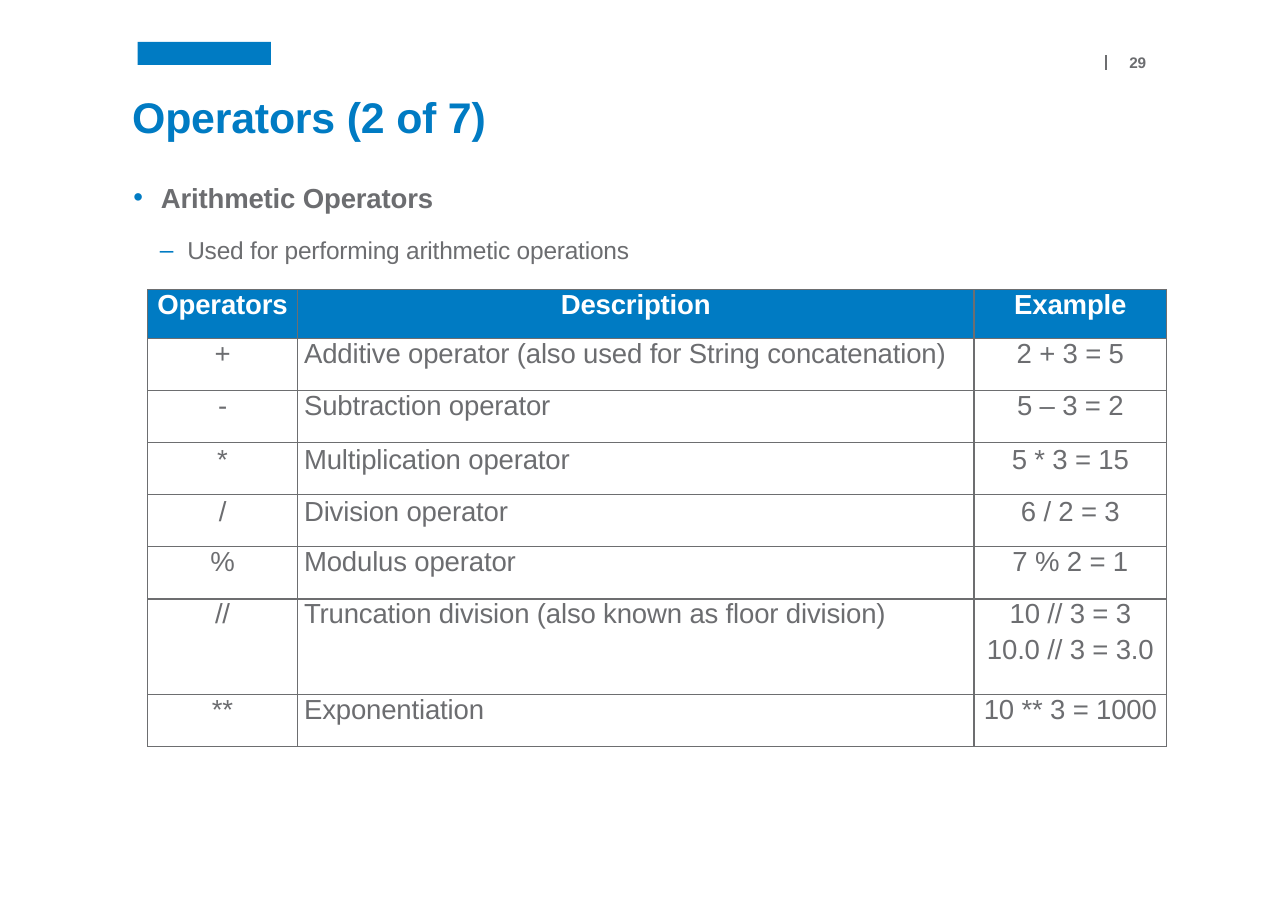
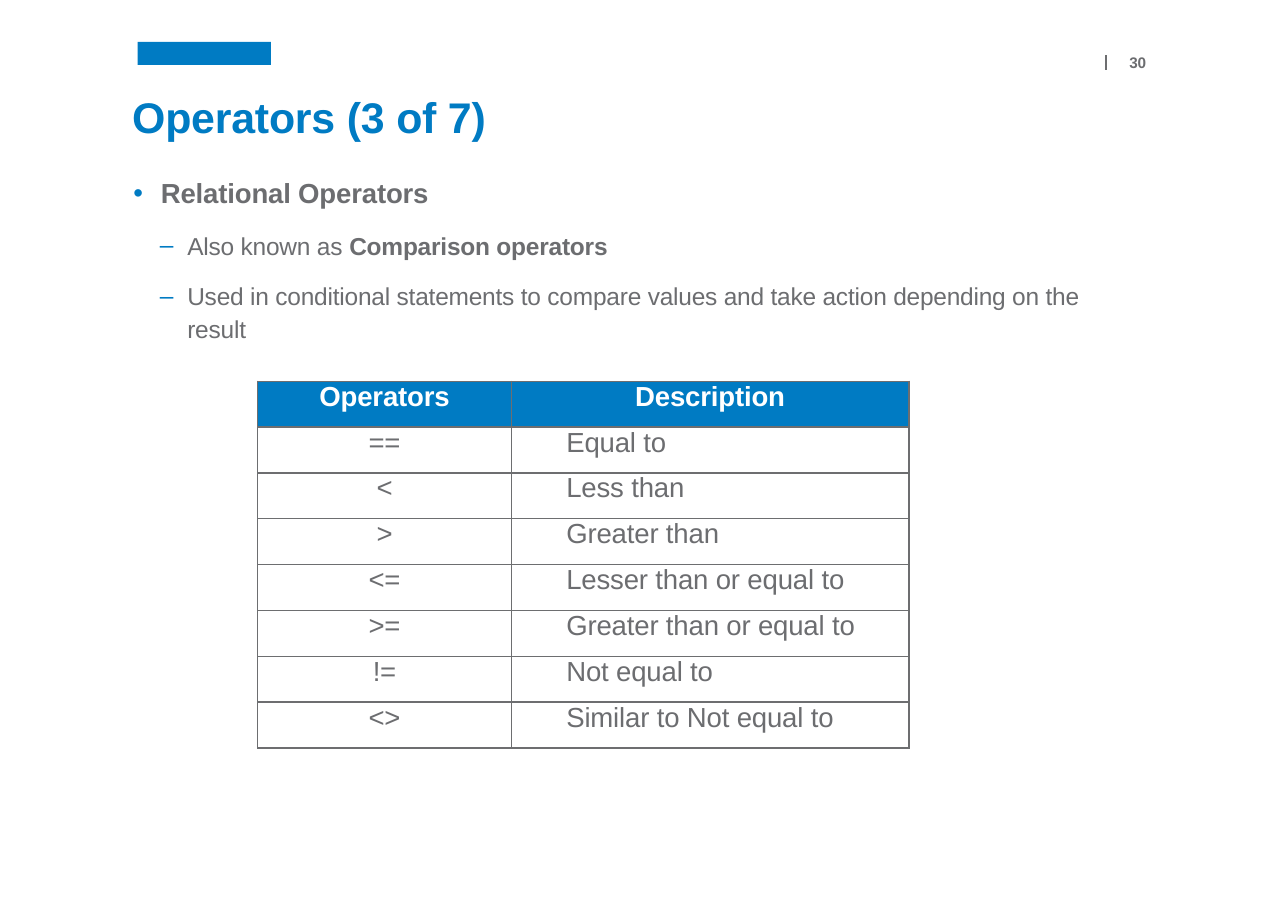
from dataclasses import dataclass

from lxml import etree
from pptx import Presentation
from pptx import util as u
from pptx.dml.color import RGBColor
from pptx.enum import shapes, text
from pptx.oxml import ns


@dataclass(frozen=True)
class Theme:
    accent: str = "007BC3"
    ink: str = "6C6D70"
    rule: str = "6D6E70"
    white: str = "FFFFFF"
    font: str = "Arial"
    title: float = 28
    heading: float = 18
    detail: float = 16
    cell: float = 18
    number: float = 10
    tracking: str = "-10"
    rule_width: float = 0.96
    border_width: float = 1


def add_child(parent, tag, **attributes):
    return etree.SubElement(parent, ns.qn(tag), attributes)


class Deck:
    def __init__(self, theme):
        self.theme = theme
        self.deck = Presentation()
        self.deck.slide_width = u.Inches(11.69)
        self.deck.slide_height = u.Inches(8.26)
        self.page = None

    def new_page(self, title, number):
        theme = self.theme
        self.page = self.deck.slides.add_slide(self.deck.slide_layouts[6])
        self.band(1.25, 0.38, 1.21, 0.21)
        self.divider(10.04, 0.5, 0.14)
        self.label(title, 1.2, 0.82, 9.46, 0.48, theme.title, theme.accent)
        self.label(str(number), 10.25, 0.48, 0.18, 0.18, theme.number, theme.ink)

    def band(self, left, top, width, height):
        band = self.page.shapes.add_shape(
            shapes.MSO_SHAPE.RECTANGLE, *map(u.Inches, (left, top, width, height)))
        band.shadow.inherit = False
        band.fill.solid()
        band.fill.fore_color.rgb = RGBColor.from_string(self.theme.accent)
        band.line.fill.background()

    def divider(self, left, top, height):
        divider = self.page.shapes.add_connector(
            shapes.MSO_CONNECTOR.STRAIGHT,
            *map(u.Inches, (left, top, left, top + height)))
        divider.line.color.rgb = RGBColor.from_string(self.theme.rule)
        divider.line.width = u.Pt(self.theme.rule_width)
        add_child(divider._element.spPr, "a:effectLst")

    def style(self, para, size, color, bold=False):
        para.font.name = self.theme.font
        para.font.size = u.Pt(size)
        para.font.bold = bold
        para.font.color.rgb = RGBColor.from_string(color)
        para._p.pPr.find(ns.qn("a:defRPr")).set("spc", self.theme.tracking)

    def text_frame(self, left, top, width, height, wrap=True):
        box = self.page.shapes.add_textbox(
            *map(u.Inches, (left, top, width, height)))
        frame = box.text_frame
        frame.margin_left = frame.margin_right = 0
        frame.margin_top = frame.margin_bottom = 0
        frame.word_wrap = wrap
        return frame

    def label(self, words, left, top, width, height, size, color):
        para = self.text_frame(left, top, width, height, False).paragraphs[0]
        para.add_run().text = words
        self.style(para, size, color, True)

    def bullet(self, para, mark, indent):
        properties = para._p.get_or_add_pPr()
        properties.set("marL", str(u.Inches(indent)))
        properties.set("indent", str(u.Inches(-0.25)))
        color = add_child(properties, "a:buClr")
        add_child(color, "a:srgbClr", val=self.theme.accent)
        add_child(properties, "a:buFont", typeface=self.theme.font)
        add_child(properties, "a:buChar", char=mark)

    def outline(self, top, height, heading, details):
        theme = self.theme
        frame = self.text_frame(1.19, top, 8.78, height)
        para = frame.paragraphs[0]
        self.bullet(para, "•", 0.27)
        para.add_run().text = heading
        self.style(para, theme.heading, theme.ink, True)
        for spans, space, spacing in details:
            para = frame.add_paragraph()
            para.level = 1
            para.space_before = u.Pt(space)
            para.line_spacing = spacing
            self.bullet(para, "–", 0.51)
            for words, bold in spans:
                span = para.add_run()
                span.text = words
                if bold:
                    span.font.bold = True
            self.style(para, theme.detail, theme.ink)

    def borders(self, cell):
        properties = cell._tc.get_or_add_tcPr()
        width = str(u.Pt(self.theme.border_width))
        for side in ("a:lnL", "a:lnR", "a:lnT", "a:lnB"):
            line = add_child(properties, side, w=width)
            fill = add_child(line, "a:solidFill")
            add_child(fill, "a:srgbClr", val=self.theme.rule)

    def fill_cell(self, cell, words, header, inset, spacing):
        theme = self.theme
        self.borders(cell)
        cell.margin_left = u.Inches(inset or 0)
        cell.margin_right = cell.margin_top = cell.margin_bottom = 0
        if header:
            cell.fill.solid()
            cell.fill.fore_color.rgb = RGBColor.from_string(theme.accent)
        else:
            cell.fill.background()
        frame = cell.text_frame
        for index, line in enumerate(words.split("\n")):
            para = frame.add_paragraph() if index else frame.paragraphs[0]
            if index:
                para.space_before = u.Pt(3.2)
            if spacing:
                para.line_spacing = u.Pt(spacing)
            para.alignment = (text.PP_ALIGN.CENTER if inset is None
                              else text.PP_ALIGN.LEFT)
            para.add_run().text = line
            self.style(para, theme.cell, theme.white if header else theme.ink, header)

    def table(self, left, top, height, widths, rows, inset, fixed=None, spacing=None):
        fixed, spacing = fixed or {}, spacing or {}
        shared = (height - sum(fixed.values())) / (len(rows) - len(fixed))
        table = self.page.shapes.add_table(
            len(rows), len(widths),
            *map(u.Inches, (left, top, sum(widths), height))).table
        table.first_row = table.horz_banding = False
        for column, width in zip(table.columns, widths):
            column.width = u.Inches(width)
        for r, row in enumerate(rows):
            table.rows[r].height = u.Inches(fixed.get(r, shared))
            for c, words in enumerate(row):
                self.fill_cell(table.cell(r, c), words, r == 0,
                               inset if r and c == 1 else None, spacing.get(r))

    def save(self):
        self.deck.save("out.pptx")


ARITHMETIC = [
    ("Operators", "Description", "Example"),
    ("+", "Additive operator (also used for String concatenation)", "2 + 3 = 5"),
    ("-", "Subtraction operator", "5 – 3 = 2"),
    ("*", "Multiplication operator", "5 * 3 = 15"),
    ("/", "Division operator", "6 / 2 = 3"),
    ("%", "Modulus operator", "7 % 2 = 1"),
    ("//", "Truncation division (also known as floor division)",
     "10 // 3 = 3\n10.0 // 3 = 3.0"),
    ("**", "Exponentiation", "10 ** 3 = 1000"),
]

RELATIONAL = [
    ("Operators", "Description"),
    ("==", "Equal to"),
    ("<", "Less than"),
    (">", "Greater than"),
    ("<=", "Lesser than or equal to"),
    (">=", "Greater than or equal to"),
    ("!=", "Not equal to"),
    ("<>", "Similar to Not equal to"),
]


def main():
    deck = Deck(Theme())

    deck.new_page("Operators (2 of 7)", 29)
    deck.outline(1.64, 0.76, "Arithmetic Operators", [
        ([("Used for performing arithmetic operations", False)], 14.1, 1.0),
    ])
    deck.table(1.34, 2.63, 4.15, (1.36, 6.14, 1.75), ARITHMETIC, 0.06,
               fixed={0: 0.44, 6: 0.87}, spacing={3: 21.6, 4: 21.6})

    deck.new_page("Operators (3 of 7)", 30)
    deck.outline(1.6, 1.53, "Relational Operators", [
        ([("Also known as ", False), ("Comparison operators", True)], 14.1, 1.0),
        ([("Used in conditional statements to compare values and take action "
           "depending on the result", False)], 12, 1.1),
    ])
    deck.table(2.34, 3.46, 3.33, (2.3, 3.61), RELATIONAL, 0.5)

    deck.save()


if __name__ == "__main__":
    main()
